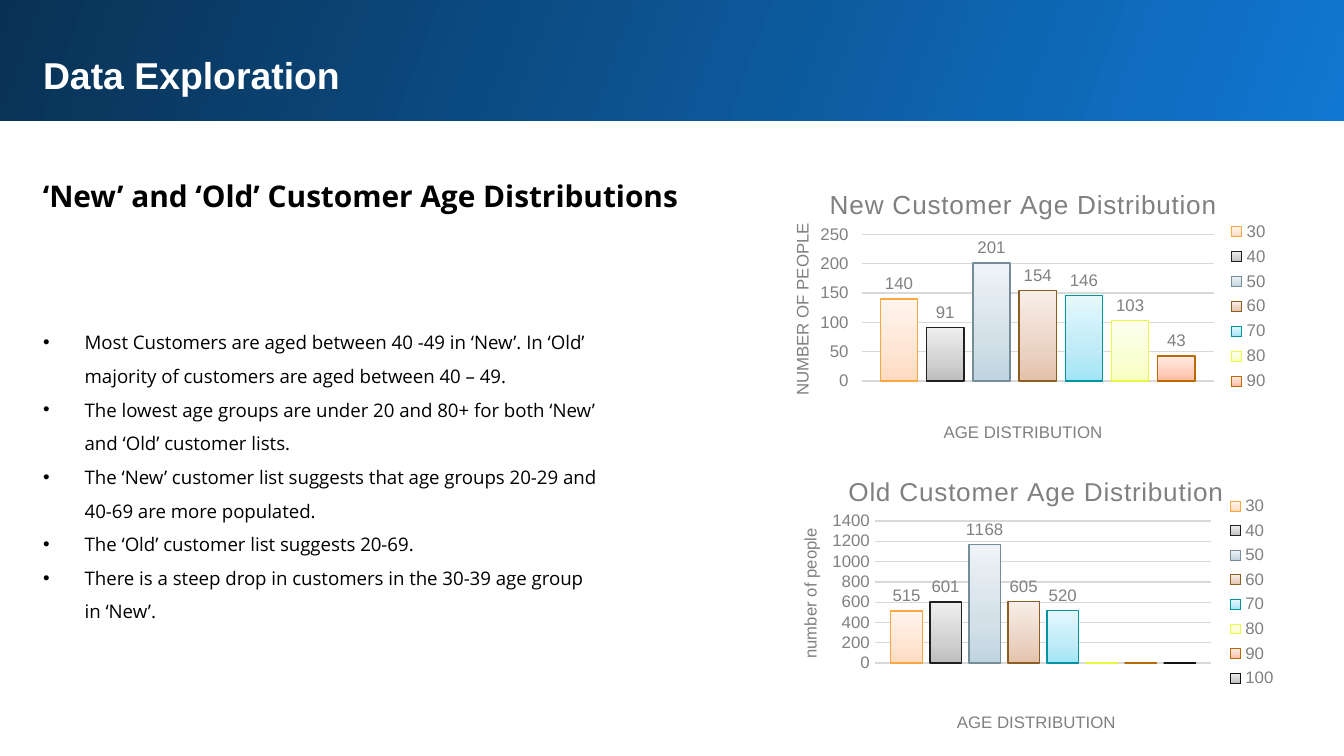
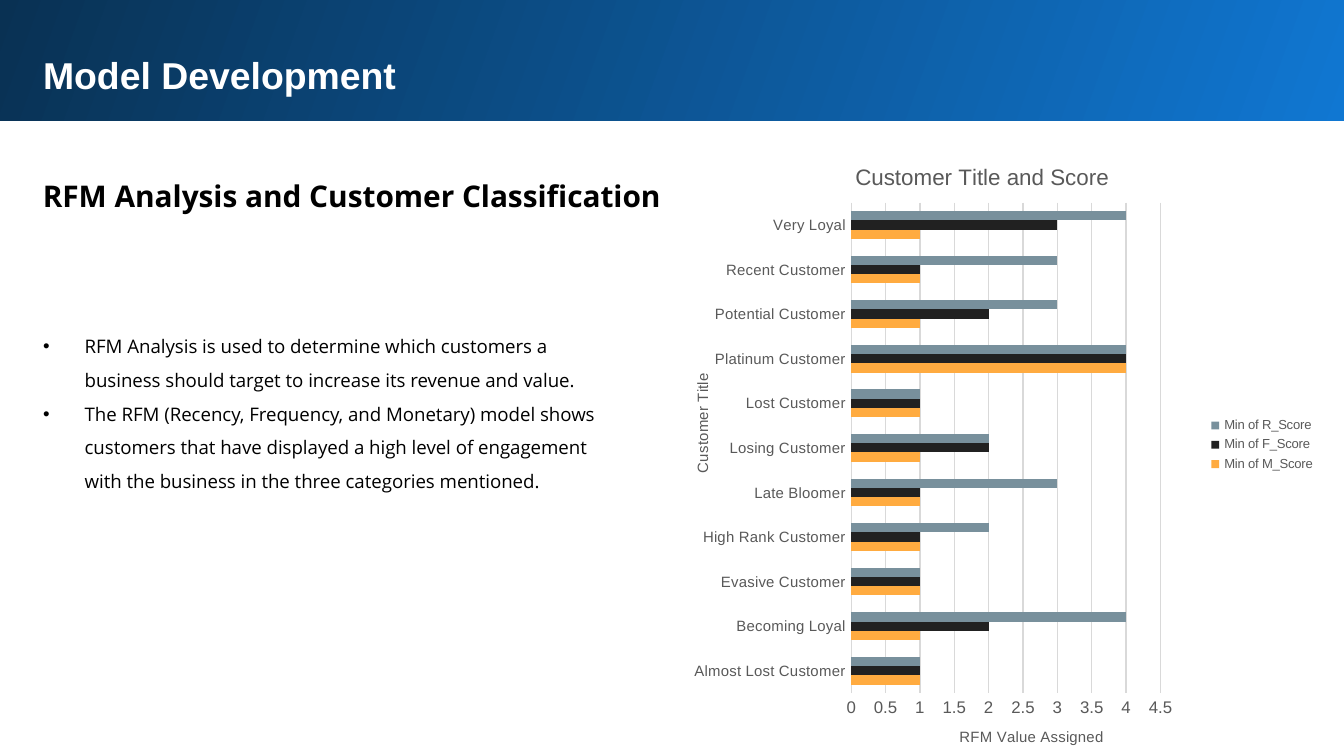
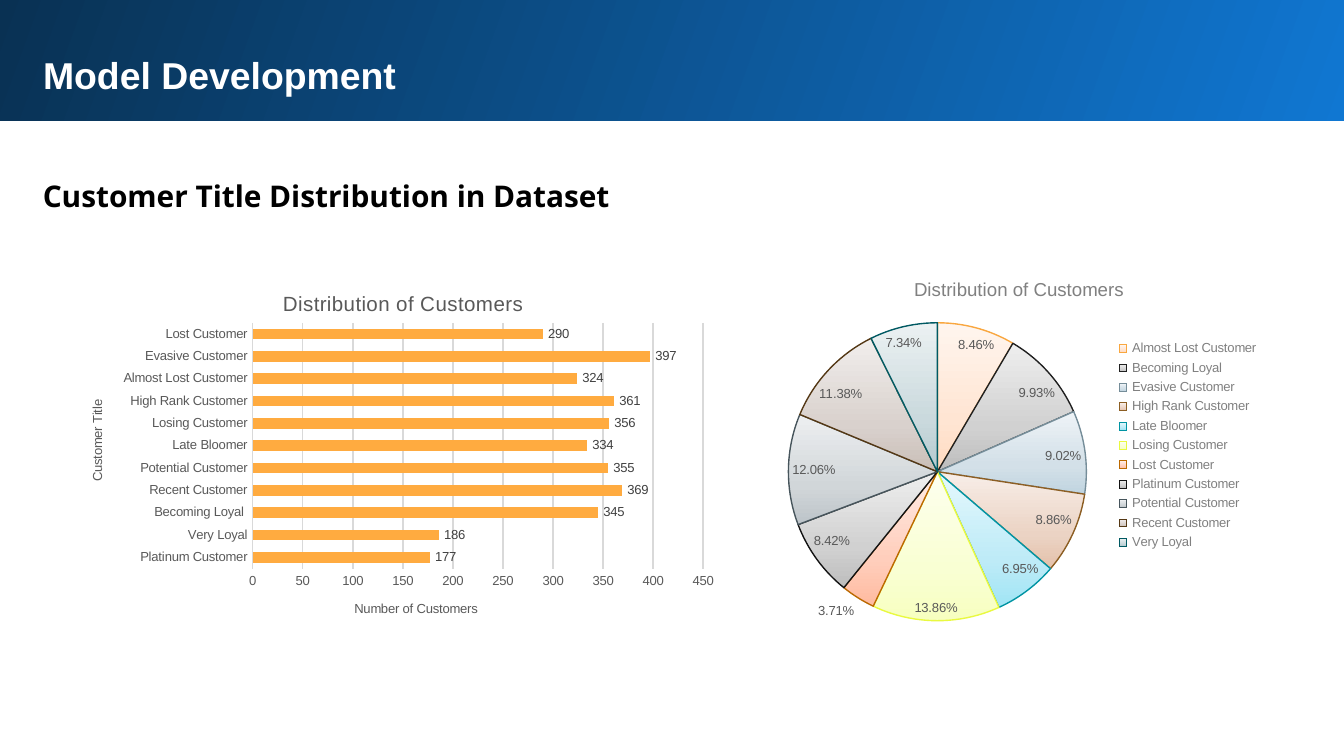
import pptx
import pptx.chart.data
import pptx.dml.color
import pptx.enum.chart
import pptx.enum.shapes
import pptx.enum.text
import pptx.oxml
import pptx.oxml.ns
import pptx.util

CHART = pptx.enum.chart.XL_CHART_TYPE
LEFT = pptx.enum.text.PP_ALIGN.LEFT
TOP = pptx.enum.text.MSO_ANCHOR.TOP
GROW = pptx.enum.text.MSO_AUTO_SIZE.SHAPE_TO_FIT_TEXT
qn = pptx.oxml.ns.qn

# Shared style; a grid cell is a tenth of an inch
CELL = 0.1
HEAD_FONT, BODY_FONT = "Arial", "Open Sans"
GRAY, DARK_GRAY, GRID = "808080", "595959", "D9D9D9"
BAND_STOPS = [(0, "1077D2"), (100, "093153")]
AMBER = "FFAB40"

# Outline, then gradient from bottom to top
TINTS = [
    ("F9A73F", "FFDAC0", "FFE5D3", "FFF5EE"),
    ("202020", "BDBDBD", "D1D1D1", "EEEEEE"),
    ("758D99", "C0D4E0", "D3E0E8", "EEF3F7"),
    ("8C5E23", "E4C1AA", "EBD3C4", "F8EEE8"),
    ("0094A3", "A0E5F5", "BEEBF7", "E5F8FD"),
    ("E9F940", "F7FFC0", "F9FFD3", "FDFFEE"),
    ("BB6900", "FFBBA0", "FFCEBC", "FFECE5"),
    ("131313", "BDBDBD", "D1D1D1", "EEEEEE"),
    ("47555C", "BDC4C9", "D1D6D9", "EDEFF1"),
    ("543815", "C9BEB7", "D9D1CD", "F1EEEC"),
    ("005962", "B3CACF", "CAD9DD", "EBF1F2"),
]


def color(code):
    return pptx.dml.color.RGBColor.from_string(code)


def style_font(font, size, code, name=HEAD_FONT, bold=False):
    font.size = pptx.util.Pt(size)
    font.name = name
    font.bold = bold
    font.color.rgb = color(code)


def fill_gradient(fill, owner, stops, angle):
    """Fill with any number of stops; the angle runs clockwise."""
    fill.gradient()
    fill.gradient_angle = 360 - angle
    stop_list = owner.find(".//" + qn("a:gsLst"))
    for stop in list(stop_list):
        stop_list.remove(stop)
    for share, code in stops:
        stop = pptx.oxml.parse_xml(
            f'<a:gs {pptx.oxml.ns.nsdecls("a")} pos="{share * 1000}">'
            f'<a:srgbClr val="{code}"/></a:gs>')
        stop_list.append(stop)


def fill_tint(target, owner, tint):
    edge, *codes = tint
    fill_gradient(target.fill, owner, list(zip((0, 35, 100), codes)), 270)
    target.line.color.rgb = color(edge)
    target.line.width = pptx.util.Pt(0.75)


def place(owner, shares):
    """Place a chart part by x, y and optional w, h as shares of the chart."""
    layout = owner.find(qn("c:layout"))
    if layout is None:
        layout = owner.makeelement(qn("c:layout"))
        owner.insert(0 if owner.find(qn("c:tx")) is None else 1, layout)
    entries = [("xMode", "edge"), ("yMode", "edge")]
    if len(shares) == 4:
        entries.insert(0, ("layoutTarget", "inner"))
    entries += zip("xywh", shares)
    manual = layout.makeelement(qn("c:manualLayout"))
    layout.append(manual)
    for tag, value in entries:
        entry = manual.makeelement(qn("c:" + tag))
        entry.set("val", str(value))
        manual.append(entry)


def write_title(title, text, size, code, spot, spacing=0):
    title.text_frame.text = text
    span = title.text_frame.paragraphs[0].runs[0]
    style_font(span.font, size, code)
    if spacing:
        span.font._element.set("spc", str(spacing))
    place(title._element, spot)


class Deck:
    def __init__(self):
        self.deck = pptx.Presentation()
        self.deck.slide_width = self.cells(100)
        self.deck.slide_height = self.cells(56.25)
        self.page = None

    def cells(self, count):
        return pptx.util.Inches(count * CELL)

    def area(self, box):
        return [self.cells(count) for count in box]

    def move(self, shape, box):
        shape.left, shape.top, shape.width, shape.height = self.area(box)

    def fit(self, frame):
        frame.word_wrap = True
        frame.auto_size = GROW
        frame.vertical_anchor = TOP
        inset = self.cells(1)
        frame.margin_left = frame.margin_right = inset
        frame.margin_top = frame.margin_bottom = inset

    def add_page(self, title, heading, has_list=True):
        layout = self.deck.slide_layouts[1 if has_list else 5]
        self.page = self.deck.slides.add_slide(layout)
        self.add_band()
        self.add_text(self.page.shapes.title, (2.2, 2.9, 93.7, 5.4), title,
                      20, "FFFFFF", HEAD_FONT)
        box = self.page.shapes.add_textbox(0, 0, 0, 0)
        self.add_text(box, (2.2, 11.8, 52.1, 4.9), heading,
                      16, "000000", BODY_FONT, 1.15)

    def add_band(self):
        band = self.page.shapes.add_shape(
            pptx.enum.shapes.MSO_SHAPE.RECTANGLE,
            *self.area((-0.2, -0.2, 100.5, 9.2)))
        band.shadow.inherit = False
        fill_gradient(band.fill, band._element, BAND_STOPS, 200)
        band.line.fill.background()
        # Behind the title
        self.page.shapes._spTree.insert(2, band._element)

    def add_text(self, shape, box, text, size, code, font, spacing=1.0):
        self.move(shape, box)
        shape.text_frame.text = text
        self.fit(shape.text_frame)
        para = shape.text_frame.paragraphs[0]
        para.alignment = LEFT
        para.line_spacing = spacing
        style_font(para.runs[0].font, size, code, font, True)

    def add_list(self, box, items):
        body = self.page.placeholders[1]
        self.move(body, box)
        body.text_frame.text = "\n".join(items)
        self.fit(body.text_frame)
        for para in body.text_frame.paragraphs:
            para.alignment = LEFT
            para.line_spacing = 1.5
            para.space_before = para.space_after = pptx.util.Pt(0)
            style_font(para.runs[0].font, 10, "000000", BODY_FONT)
            settings = para._p.get_or_add_pPr()
            settings.set("marL", str(self.cells(3.1)))
            settings.set("indent", str(-self.cells(3.1)))
            bullet = settings.makeelement(qn("a:buChar"))
            bullet.set("char", "•")
            settings.append(bullet)

    def add_chart(self, kind, box, categories, series, title, plot, legend=None,
                  number_format="General"):
        data = pptx.chart.data.CategoryChartData(number_format=number_format)
        data.categories = categories
        for name, values in series:
            data.add_series(name, values)
        chart = self.page.shapes.add_chart(kind, *self.area(box), data).chart
        style_font(chart.font, 10, "000000")
        chart.has_title = True
        write_title(chart.chart_title, *title)
        place(chart._chartSpace.find(".//" + qn("c:plotArea")), plot)
        chart.plots[0].vary_by_categories = kind == CHART.PIE
        chart.has_legend = legend is not None
        if legend:
            chart.legend.position = pptx.enum.chart.XL_LEGEND_POSITION.RIGHT
            chart.legend.include_in_layout = False
            style_font(chart.legend.font, *legend)
        return chart

    def style_axes(self, chart, category_title, value_title, category_size,
                   value_size, code, top, step):
        ticks = pptx.enum.chart.XL_TICK_MARK
        sides = [(chart.category_axis, category_title, category_size),
                 (chart.value_axis, value_title, value_size)]
        for axis, title, size in sides:
            axis.major_tick_mark = axis.minor_tick_mark = ticks.NONE
            style_font(axis.tick_labels.font, size, code)
            axis.has_title = True
            write_title(axis.axis_title, *title)
        upright = chart.category_axis if chart.plots[0]._element.find(
            qn("c:barDir")).get("val") == "bar" else chart.value_axis
        frame = upright.axis_title._element.find(".//" + qn("a:bodyPr"))
        frame.set("rot", "-5400000")
        frame.set("vert", "horz")
        values = chart.value_axis
        values.minimum_scale, values.maximum_scale = 0, top
        values.major_unit = step
        values.format.line.fill.background()
        values.has_major_gridlines = True
        for line in (values.major_gridlines.format.line,
                     chart.category_axis.format.line):
            line.color.rgb = color(GRID)
            line.width = pptx.util.Pt(0.75)

    def add_labels(self, series, size, code, position="OUTSIDE_END",
                   number_format="General"):
        labels = series.data_labels
        labels.show_value = True
        labels.position = getattr(pptx.enum.chart.XL_LABEL_POSITION, position)
        labels.number_format = number_format
        labels.number_format_is_linked = False
        style_font(labels.font, size, code)

    def add_age_chart(self, box, counts, title, title_spot, plot, category_spot,
                      value_title, value_spot, top, step):
        series = [(str(30 + 10 * i), [count]) for i, count in enumerate(counts)]
        chart = self.add_chart(CHART.COLUMN_CLUSTERED, box, ["1"], series,
                               (title, 14, GRAY, title_spot, 30), plot, (9, GRAY))
        self.style_axes(chart, ("AGE DISTRIBUTION", 9, GRAY, category_spot),
                        (value_title, 9, GRAY, value_spot), 9, 9, GRAY, top, step)
        chart.category_axis.visible = False
        chart.plots[0].gap_width = 100
        chart.plots[0].overlap = -24
        for group, tint, count in zip(chart.series, TINTS, counts):
            fill_tint(group.format, group._element, tint)
            if count:
                self.add_labels(group, 9, GRAY)
        return chart

    def add_bar_chart(self, box, categories, series, colors, title, plot, legend,
                      category_title, value_title, sizes, top, step, gap):
        chart = self.add_chart(CHART.BAR_CLUSTERED, box, categories, series,
                               title, plot, legend)
        self.style_axes(chart, category_title, value_title, *sizes,
                        DARK_GRAY, top, step)
        chart.plots[0].gap_width = gap
        for group, code in zip(chart.series, colors):
            group.format.fill.solid()
            group.format.fill.fore_color.rgb = color(code)
        return chart

    def add_pie(self, box, categories, shares, title, plot):
        chart = self.add_chart(CHART.PIE, box, categories, [("Series 1", shares)],
                               title, plot, (7, GRAY), "0.00%")
        pie = chart.plots[0].series[0]
        for index, tint in enumerate(TINTS):
            slice_format = pie.points[index].format
            slice_format.fill.solid()
            owner = pie._element.findall(qn("c:dPt"))[index]
            fill_tint(slice_format, owner, tint)
        self.add_labels(pie, 7, DARK_GRAY, "BEST_FIT", "0.00%")


def main():
    deck = Deck()

    # Age distributions
    deck.add_page("Data Exploration", "‘New’ and ‘Old’ Customer Age Distributions")
    deck.add_list((2.2, 22.8, 43.4, 24.5), [
        "Most Customers are aged between 40 -49 in ‘New’. In ‘Old’ majority of "
        "customers are aged between 40 – 49.",
        "The lowest age groups are under 20 and 80+ for both ‘New’ and ‘Old’ "
        "customer lists.",
        "The ‘New’ customer list suggests that age groups 20-29 and 40-69 are "
        "more populated.",
        "The ‘Old’ customer list suggests 20-69.",
        "There is a steep drop in customers in the 30-39 age group in ‘New’.",
    ])
    new_chart = deck.add_age_chart(
        (56.3, 12.1, 39.1, 21.4), [140, 91, 201, 154, 146, 103, 43],
        "New Customer Age Distribution", (0.13, 0.07), (0.2, 0.25, 0.67, 0.51),
        (0.35, 0.89), "NUMBER OF PEOPLE", (0.06, 0.2), 250, 50)
    new_chart.value_axis.major_tick_mark = pptx.enum.chart.XL_TICK_MARK.OUTSIDE
    deck.add_age_chart(
        (56.9, 33.5, 39.1, 21.4), [515, 601, 1168, 605, 520, 0, 0, 0],
        "Old Customer Age Distribution", (0.15, 0.07), (0.21, 0.25, 0.64, 0.5),
        (0.36, 0.91), "number of people", (0.06, 0.27), 1400, 200)

    # Scores by customer title
    titles = ["Almost Lost Customer", "Becoming Loyal", "Evasive Customer",
              "High Rank Customer", "Late Bloomer", "Losing Customer",
              "Lost Customer", "Platinum Customer", "Potential Customer",
              "Recent Customer", "Very Loyal"]
    deck.add_page("Model Development", "RFM Analysis and Customer Classification")
    deck.add_list((2.2, 23.1, 44.4, 14.4), [
        "RFM Analysis is used to determine which customers a business should "
        "target to increase its revenue and value.",
        "The RFM (Recency, Frequency, and Monetary) model shows customers that "
        "have displayed a high level of engagement with the business in the "
        "three categories mentioned.",
    ])
    deck.add_bar_chart(
        (46.6, 10, 52.3, 46.2), titles,
        [("Min of M_Score", [1, 1, 1, 1, 1, 1, 1, 4, 1, 1, 1]),
         ("Min of F_Score", [1, 2, 1, 1, 1, 2, 1, 4, 2, 1, 3]),
         ("Min of R_Score", [1, 4, 1, 2, 3, 2, 1, 4, 3, 3, 4])],
        [AMBER, "212121", "78909C"],
        ("Customer Title and Score", 12, DARK_GRAY, (0.32, 0.04)),
        (0.32, 0.11, 0.44, 0.79), (7, DARK_GRAY),
        ("Customer Title", 8, DARK_GRAY, (0.09, 0.38)),
        ("RFM Value Assigned", 8, DARK_GRAY, (0.47, 0.95)),
        (8, 9), 4.5, 0.5, 182)

    # Customers by title
    deck.add_page("Model Development", "Customer Title Distribution in Dataset",
                  has_list=False)
    deck.add_pie(
        (55.1, 16.8, 39.6, 32.7), titles,
        [0.0846, 0.0993, 0.0902, 0.0886, 0.0695, 0.1386, 0.0371, 0.0842, 0.1206,
         0.1138, 0.0734],
        ("Distribution of Customers", 10, GRAY, (0.32, 0.11), 10),
        (0.09, 0.22, 0.56, 0.68))
    counts = {
        "Platinum Customer": 177, "Very Loyal": 186, "Becoming Loyal ": 345,
        "Recent Customer": 369, "Potential Customer": 355, "Late Bloomer": 334,
        "Losing Customer": 356, "High Rank Customer": 361,
        "Almost Lost Customer": 324, "Evasive Customer": 397,
        "Lost Customer": 290,
    }
    count_chart = deck.add_bar_chart(
        (5, 19.6, 49.3, 27.7), list(counts),
        [("Series 1", list(counts.values()))], [AMBER],
        ("Distribution of Customers", 11, DARK_GRAY, (0.32, 0.06), 10),
        (0.28, 0.16, 0.68, 0.66), None,
        ("Customer Title", 7, DARK_GRAY, (0.03, 0.36)),
        ("Number of Customers", 7, DARK_GRAY, (0.43, 0.9)),
        (7, 7), 450, 50, 111)
    deck.add_labels(count_chart.plots[0].series[0], 7, "404040")

    deck.deck.save("out.pptx")


if __name__ == "__main__":
    main()
